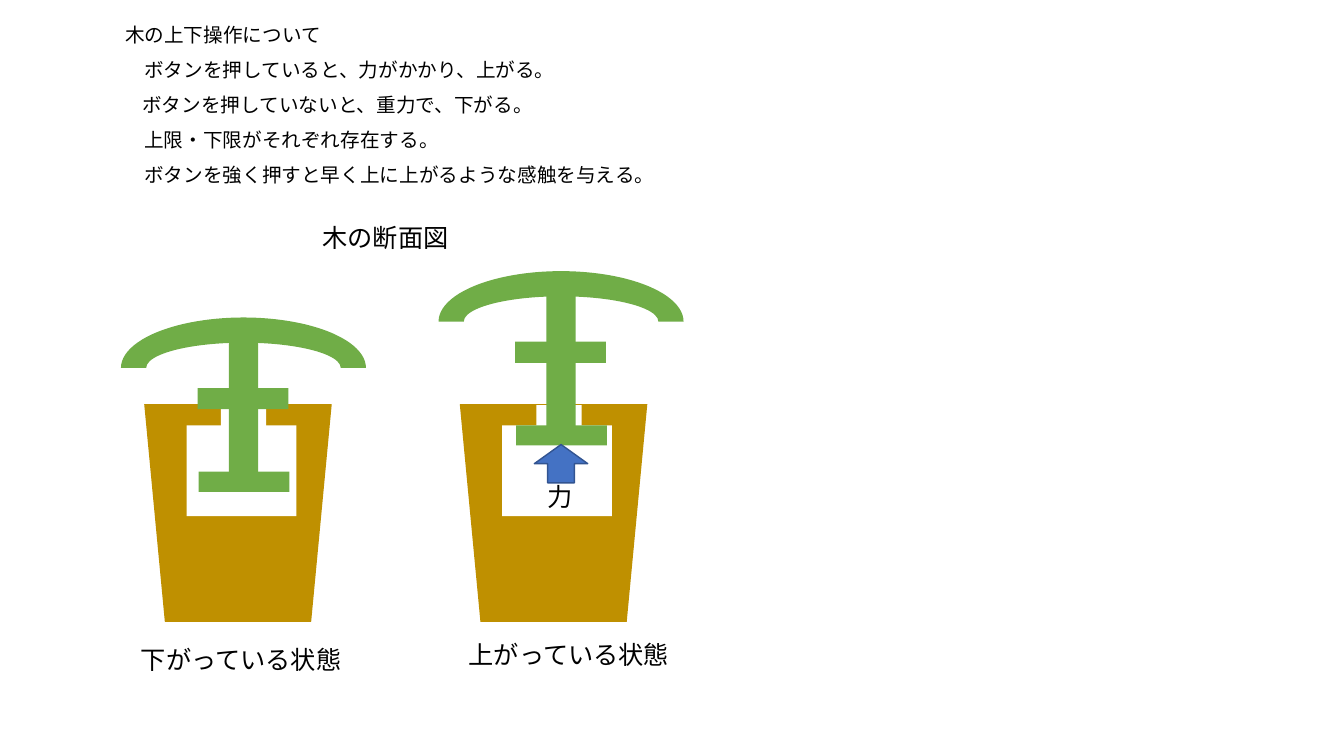
from dataclasses import dataclass
from lxml import etree
from pptx import Presentation
from pptx.dml.color import RGBColor
from pptx.enum import shapes as sh, text as tx
from pptx.oxml import ns
from pptx.util import Inches, Pt

FONT = "Noto Sans CJK JP"
BLACK = RGBColor(0x00, 0x00, 0x00)
WHITE = RGBColor(0xFF, 0xFF, 0xFF)
WOOD = RGBColor(0xBF, 0x90, 0x00)
LEAF = RGBColor(0x70, 0xAD, 0x47)
BLUE = RGBColor(0x44, 0x72, 0xC4)
NAVY = RGBColor(0x32, 0x54, 0x91)
KIND = sh.MSO_SHAPE


@dataclass
class Part:
    """A shape placed relative to the corner of its group."""
    kind: sh.MSO_SHAPE
    left: float
    top: float
    width: float
    height: float
    fill: RGBColor
    turn: float = 0


@dataclass
class State:
    """One position of the tree, with its pot and caption."""
    pot: tuple[float, float]
    tree: tuple[float, float]
    label: str
    spot: tuple[float, float]


@dataclass
class Line:
    """A line of the description and its indent."""
    words: str
    indent: float = 0


POT = [
    Part(KIND.TRAPEZOID, 0, 0, 1.86, 2.16, WOOD, 180),
    Part(KIND.RECTANGLE, 0.76, 0.01, 0.45, 0.31, WHITE),
    Part(KIND.RECTANGLE, 0.42, 0.21, 1.09, 0.9, WHITE),
]
TREE = [
    Part(KIND.RECTANGLE, 1.07, 0.13, 0.29, 1.58, LEAF),
    Part(KIND.RECTANGLE, 0.76, 0.7, 0.9, 0.21, LEAF),
    Part(KIND.RECTANGLE, 0.77, 1.53, 0.9, 0.2, LEAF),
    Part(KIND.BLOCK_ARC, 0, 0, 2.43, 1, LEAF),
]
STATES = [
    State((1.43, 4.01), (1.2, 3.15), "下がっている状態", (1.3, 6.34)),
    State((4.56, 4.01), (4.35, 2.69), "上がっている状態", (4.55, 6.29)),
]
LINES = [
    Line("木の上下操作について"),
    Line("ボタンを押していると、力がかかり、上がる。", 0.19),
    Line("ボタンを押していないと、重力で、下がる。", 0.17),
    Line("上限・下限がそれぞれ存在する。", 0.19),
    Line("ボタンを強く押すと早く上に上がるような感触を与える。", 0.19),
]


def write(para, words: str, size: float = 18, color: RGBColor = BLACK) -> None:
    """Add formatted words to a paragraph."""
    run = para.add_run()
    run.text = words
    run.font.size = Pt(size)
    run.font.name = FONT
    run.font.color.rgb = color
    east = etree.SubElement(run.font._element, ns.qn("a:ea"))
    east.set("typeface", FONT)


def label(slide, words: str, left: float, top: float, width: float) -> None:
    """Place a one-line text box."""
    box = slide.shapes.add_textbox(
        Inches(left), Inches(top), Inches(width), Inches(0.4))
    frame = box.text_frame
    frame.word_wrap = False
    frame.auto_size = tx.MSO_AUTO_SIZE.SHAPE_TO_FIT_TEXT
    write(frame.paragraphs[0], words)


def draw(tree, part: Part, left: float = 0, top: float = 0):
    """Draw a part without outline, offset by a corner."""
    shape = tree.add_shape(
        part.kind, Inches(left + part.left), Inches(top + part.top),
        Inches(part.width), Inches(part.height))
    shape.shadow.inherit = False
    shape.fill.solid()
    shape.fill.fore_color.rgb = part.fill
    shape.line.fill.background()
    shape.rotation = part.turn
    if part.kind == KIND.TRAPEZOID:
        shape.adjustments[0] = 0.11
    return shape


def gather(slide, parts: list[Part], spot: tuple[float, float]) -> None:
    """Draw parts as one group at a spot."""
    group = slide.shapes.add_group_shape()
    for part in parts:
        draw(group.shapes, part, *spot)


def describe(slide) -> None:
    """Fill the body placeholder with the description."""
    body = slide.placeholders[1]
    body.left, body.top = Inches(1.14), Inches(0.2)
    body.width, body.height = Inches(5.7), Inches(4.76)
    frame = body.text_frame
    frame.word_wrap = True
    frame.auto_size = tx.MSO_AUTO_SIZE.NONE
    frame.vertical_anchor = tx.MSO_ANCHOR.TOP
    for i, line in enumerate(LINES):
        para = frame.add_paragraph() if i else frame.paragraphs[0]
        para.line_spacing = 0.9
        para.space_before = Pt(10)
        props = para._p.get_or_add_pPr()
        props.set("marL", str(Inches(line.indent)))
        props.set("indent", "0")
        etree.SubElement(props, ns.qn("a:buNone"))
        write(para, line.words, size=14)


def main() -> None:
    """Build and save the slide."""
    deck = Presentation()
    deck.slide_width, deck.slide_height = Inches(13.33), Inches(7.5)
    slide = deck.slides.add_slide(deck.slide_layouts[1])
    title = slide.shapes.title.element
    title.getparent().remove(title)
    describe(slide)
    for state in STATES:
        gather(slide, POT, state.pot)
        gather(slide, TREE, state.tree)
    arrow = draw(slide.shapes, Part(KIND.UP_ARROW, 5.3, 4.41, 0.53, 0.38, BLUE))
    arrow.line.color.rgb = NAVY
    arrow.line.width = Pt(1)
    label(slide, "力", 5.33, 4.73, 0.45)
    label(slide, "木の断面図", 3.1, 2.16, 1.46)
    for state in STATES:
        label(slide, state.label, *state.spot, 2.22)
    deck.save("out.pptx")


main()
